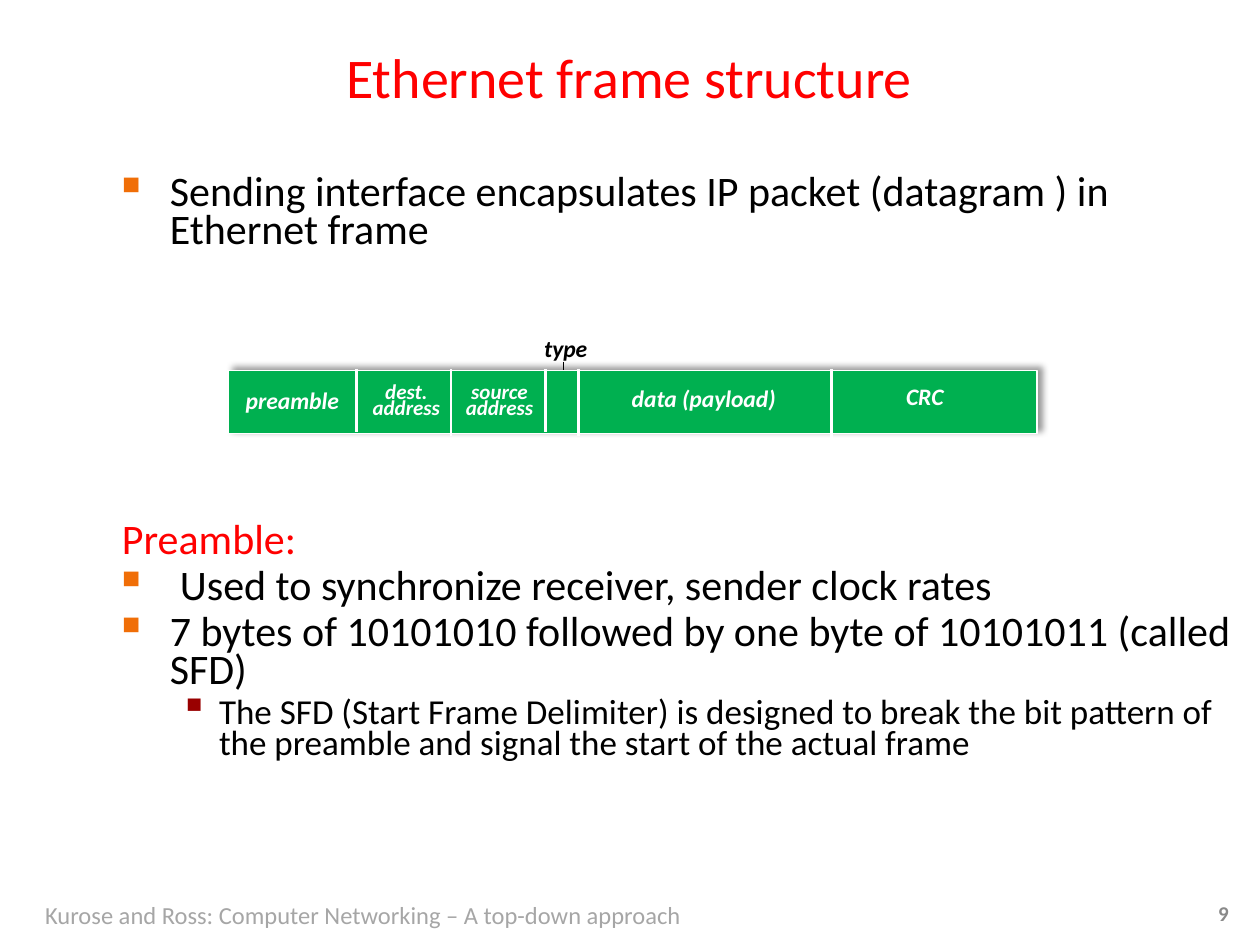
from dataclasses import dataclass

from lxml import etree
from pptx import Presentation
from pptx.dml.color import RGBColor
from pptx.enum.shapes import MSO_CONNECTOR as CONN, MSO_SHAPE as SHAPE
from pptx.enum.text import MSO_ANCHOR as ANCHOR, PP_ALIGN as ALIGN
from pptx.oxml import parse_xml
from pptx.oxml.ns import nsdecls, qn
from pptx.util import Inches, Pt

RED = RGBColor(0xFF, 0x00, 0x00)
BLACK = RGBColor(0x00, 0x00, 0x00)
WHITE = RGBColor(0xFF, 0xFF, 0xFF)
GREEN = RGBColor(0x00, 0xB0, 0x50)
ORANGE = RGBColor(0xF0, 0x6E, 0x07)
MAROON = RGBColor(0x99, 0x00, 0x00)
GREY = RGBColor(0x89, 0x89, 0x89)
LIGHT_GREY = RGBColor(0xA6, 0xA6, 0xA6)


@dataclass
class Para:
    text: str
    size: float = 24
    color: RGBColor = BLACK
    bullet: tuple = None
    margin: float = 0
    hang: float = 0
    level: int = 0


SQUARE = ("■", ORANGE, 60)
SMALL_SQUARE = ("▪", MAROON, 110)


class SlideBuilder:
    def __init__(self, slide, font="Calibri"):
        self.slide = slide
        self.font = font

    def style(self, p, size, color, bold=False, italic=False):
        for r in p.runs:
            f = r.font
            f.name, f.size, f.bold, f.italic = self.font, Pt(size), bold, italic
            f.color.rgb = color

    def frame(self, box, wrap=True):
        tf = self.slide.shapes.add_textbox(*map(Inches, box)).text_frame
        tf.word_wrap = wrap
        return tf

    def label(self, box, text, size, color, bold=False, italic=False,
              align=ALIGN.LEFT, anchor=ANCHOR.TOP, spacing=None, wrap=True):
        tf = self.frame(box, wrap)
        tf.text = text
        tf.vertical_anchor = anchor
        for p in tf.paragraphs:
            p.alignment = align
            if spacing:
                p.line_spacing = Pt(spacing)
            self.style(p, size, color, bold, italic)

    def bullet(self, p, para):
        char, color, percent = para.bullet
        pPr = p._p.get_or_add_pPr()
        pPr.set("marL", str(Inches(para.margin)))
        pPr.set("indent", str(-Inches(para.hang)))
        clr = etree.SubElement(pPr, qn("a:buClr"))
        etree.SubElement(clr, qn("a:srgbClr")).set("val", str(color))
        etree.SubElement(pPr, qn("a:buSzPct")).set("val", str(percent * 1000))
        etree.SubElement(pPr, qn("a:buChar")).set("char", char)

    def body(self, box, paras):
        tf = self.frame(box)
        tf.margin_right = Inches(0.14)
        for i, para in enumerate(paras):
            p = tf.add_paragraph() if i else tf.paragraphs[0]
            p.text = para.text
            p.level = para.level
            if para.bullet:
                self.bullet(p, para)
            p.line_spacing = 0.75
            if i:
                p.space_before = Pt(para.size * 0.2)
            self.style(p, para.size, para.color)

    def line(self, x, top, bottom, color, width):
        ln = self.slide.shapes.add_connector(
            CONN.STRAIGHT, Inches(x), Inches(top), Inches(x), Inches(bottom))
        ln.line.color.rgb = color
        ln.line.width = Pt(width)
        etree.SubElement(ln._element.spPr, qn("a:effectLst"))

    def bar(self, box, fill, line):
        sp = self.slide.shapes.add_shape(SHAPE.RECTANGLE, *map(Inches, box))
        sp.fill.solid()
        sp.fill.fore_color.rgb = fill
        sp.line.color.rgb = line
        sp.line.width = Pt(0.75)
        sp.shadow.inherit = False
        shadow = parse_xml(
            f'<a:outerShdw {nsdecls("a")} blurRad="{Pt(4)}" dist="{Pt(3)}" '
            'dir="18900000" algn="bl" rotWithShape="0"><a:srgbClr val="000000">'
            '<a:alpha val="40000"/></a:srgbClr></a:outerShdw>')
        sp._element.spPr.find(qn("a:effectLst")).append(shadow)


def main():
    prs = Presentation()
    prs.slide_width, prs.slide_height = Inches(10), Inches(7.5)
    s = SlideBuilder(prs.slides.add_slide(prs.slide_layouts[6]))

    s.label((9.57, 7.1, 0.4, 0.3), "9", 12, GREY, bold=True, anchor=ANCHOR.MIDDLE)
    s.label((0.39, 0.21, 9.21, 0.79), "Ethernet frame structure", 32, RED,
            align=ALIGN.CENTER, anchor=ANCHOR.MIDDLE)
    s.body((0.87, 1.35, 9.13, 2.57), [
        Para("Sending interface encapsulates IP packet (datagram ) in Ethernet frame",
             bullet=SQUARE, margin=0.38, hang=0.38)])

    s.line(4.47, 2.87, 3.06, BLACK, 0.75)
    s.bar((1.81, 2.94, 6.42, 0.5), GREEN, WHITE)
    for x, bottom in ((2.83, 3.43), (3.58, 3.46), (4.33, 3.43), (4.59, 3.46), (6.6, 3.5)):
        s.line(x, 2.93, bottom, WHITE, 1.5)

    fields = (
        ("dest.\naddress", 12, (2.79, 3.03, 0.87, 0.37)),
        ("source\naddress", 12, (3.53, 3.03, 0.87, 0.37)),
        ("data (payload)", 13.5, (4.88, 3.1, 1.41, 0.25)),
        ("CRC", 13.5, (6.9, 3.08, 0.88, 0.25)),
        ("preamble", 13.5, (1.77, 3.11, 1.1, 0.25)),
    )
    for text, size, box in fields:
        s.label(box, text, size, WHITE, bold=True, italic=True,
                align=ALIGN.CENTER, spacing=9)
    s.label((4.22, 2.6, 0.79, 0.33), "type", 13.5, BLACK, bold=True, italic=True)

    s.body((0.87, 4.11, 9.13, 2), [
        Para("Preamble:", color=RED),
        Para("Used to synchronize receiver, sender clock rates",
             bullet=SQUARE, margin=0.46, hang=0.46),
        Para("7 bytes of 10101010 followed by one byte of 10101011 (called SFD)",
             bullet=SQUARE, margin=0.38, hang=0.38),
        Para("The SFD (Start Frame Delimiter) is designed to break the bit pattern "
             "of the preamble and signal the start of the actual frame",
             size=20, bullet=SMALL_SQUARE, margin=0.77, hang=0.31, level=1)])
    s.label((0.26, 7.09, 5.33, 0.34),
            "Kurose and Ross: Computer Networking – A top-down approach",
            14, LIGHT_GREY, wrap=False)
    prs.save("out.pptx")


if __name__ == "__main__":
    main()
